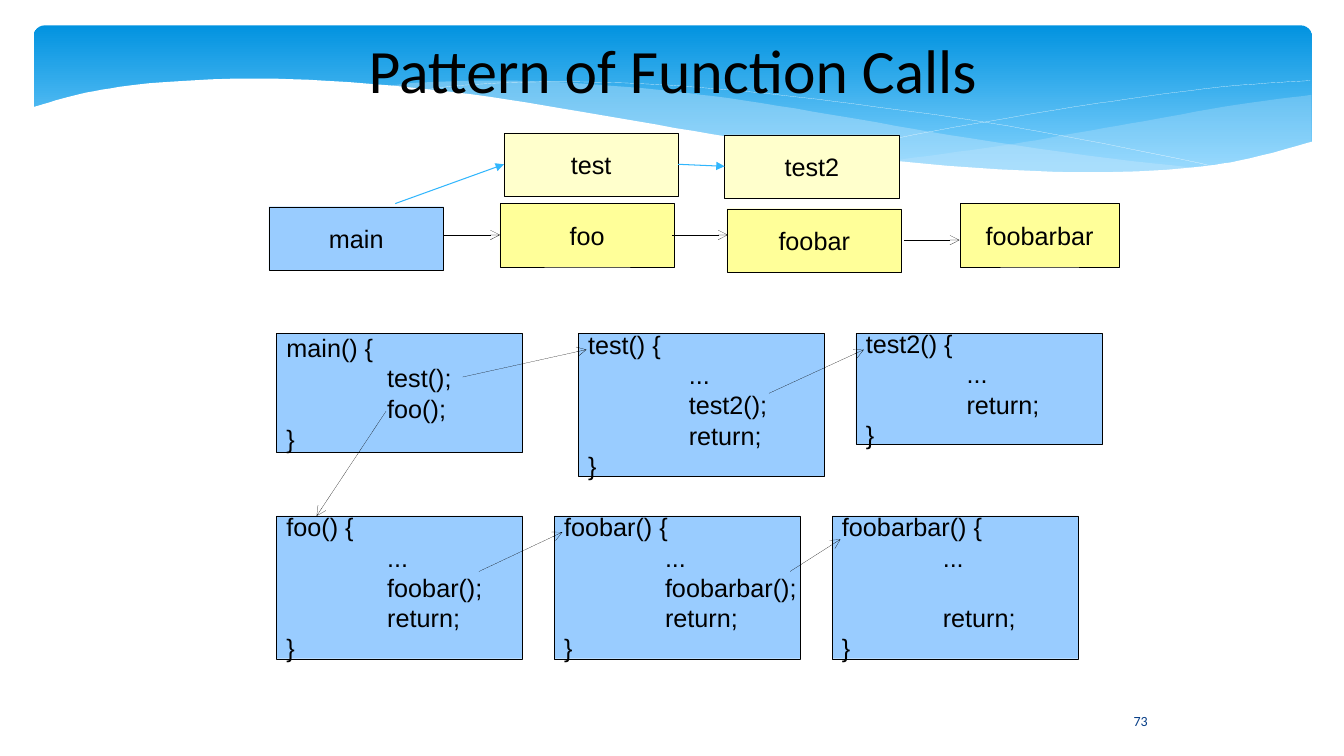
"""Build a slide that shows which function calls which."""
import lxml.etree
import pptx
import pptx.dml.color
import pptx.enum.shapes
import pptx.enum.text
import pptx.oxml.ns
import pptx.util

Cm = pptx.util.Cm
Pt = pptx.util.Pt
ALIGN = pptx.enum.text.PP_ALIGN
SHAPE = pptx.enum.shapes.MSO_SHAPE


class Theme:
    black, white = "000000", "FFFFFF"
    blue, pale, gold = "99CCFF", "FFFFCC", "FFFF99"
    deep, sky, mist = "0293E0", "83D3FE", "C6E7FC"
    link, navy = "31B6FD", "073E87"
    head, code = "Calibri", "Arial"
    title, body, small = 44, 18, 10
    hair = 0.1
    skip = 21.7
    tab = 2.54


def tint(code):
    return pptx.dml.color.RGBColor.from_string(code)


def add(node, tag, **attrs):
    return lxml.etree.SubElement(node, pptx.oxml.ns.qn(tag), **attrs)


def bend(knots, steps=6):
    ends = [knots[0], *knots, knots[-1]]
    curve = [knots[0]]
    for a, b, c, d in zip(ends, ends[1:], ends[2:], ends[3:]):
        for step in range(1, steps + 1):
            t = step / steps
            curve.append(tuple(
                q + t * (r - p) / 2 + t * t * (2 * p - 5 * q + 4 * r - s) / 2
                + t ** 3 * (3 * q - p - 3 * r + s) / 2
                for p, q, r, s in zip(a, b, c, d)))
    return curve


class Sketch:
    def __init__(self, deck, theme):
        self.theme = theme
        self.slide = deck.slides.add_slide(deck.slide_layouts[5])
        self.shapes = self.slide.shapes

    def font(self, para, name, size, color):
        para.font.name, para.font.size = name, Pt(size)
        para.font.color.rgb = tint(color)

    def frame(self, shape, pads):
        frame = shape.text_frame
        frame.word_wrap = True
        frame.auto_size = pptx.enum.text.MSO_AUTO_SIZE.NONE
        frame.vertical_anchor = pptx.enum.text.MSO_ANCHOR.MIDDLE
        sides = map(Cm, pads)
        frame.margin_left, frame.margin_top, frame.margin_right, frame.margin_bottom = sides
        return frame

    def title(self, text, *place):
        shape = self.shapes.title
        shape.left, shape.top, shape.width, shape.height = map(Cm, place)
        para = self.frame(shape, (0, 0, 0, 0)).paragraphs[0]
        para.text, para.alignment = text, ALIGN.CENTER
        self.font(para, self.theme.head, self.theme.title, self.theme.black)
        self.shapes._spTree.append(shape._element)

    def label(self, text, *place):
        shape = self.shapes.add_textbox(*map(Cm, place))
        para = self.frame(shape, (0.25, 0.13, 0.25, 0.13)).paragraphs[0]
        para.text, para.alignment = text, ALIGN.CENTER
        self.font(para, self.theme.head, self.theme.small, self.theme.navy)

    def band(self, *place):
        shape = self.shapes.add_shape(SHAPE.ROUNDED_RECTANGLE, *map(Cm, place))
        shape.adjustments[0] = 0.07
        shape.shadow.inherit = False
        shape.line.fill.background()
        shape.fill.gradient()
        shape.fill.gradient_angle = 270
        shades = ((0, self.theme.deep), (0.9, self.theme.sky))
        for stop, (place, color) in zip(shape.fill.gradient_stops, shades):
            stop.position, stop.color.rgb = place, tint(color)

    def trace(self, points, close):
        start, *rest = [(100 * x, 100 * y) for x, y in points]
        pen = self.shapes.build_freeform(*start, scale=Cm(0.01))
        pen.add_line_segments(rest, close=close)
        shape = pen.convert_to_shape()
        shape.shadow.inherit = False
        return shape

    def wave(self, points, color, solid=100):
        shape = self.trace(points, True)
        shape.line.fill.background()
        shape.fill.solid()
        shape.fill.fore_color.rgb = tint(color)
        if solid < 100:
            node = shape._element.spPr.find(".//" + pptx.oxml.ns.qn("a:srgbClr"))
            add(node, "a:alpha", val=str(solid * 1000))

    def thread(self, knots):
        shape = self.trace(bend(knots), False)
        shape.fill.background()
        shape.line.color.rgb = tint(self.theme.white)
        shape.line.width = Pt(self.theme.hair)

    def box(self, lines, color, *place, align=ALIGN.CENTER, right=0.25):
        shape = self.shapes.add_shape(SHAPE.RECTANGLE, *map(Cm, place))
        shape.shadow.inherit = False
        shape.fill.solid()
        shape.fill.fore_color.rgb = tint(color)
        shape.line.color.rgb = tint(self.theme.black)
        shape.line.width = Pt(self.theme.hair)
        frame = self.frame(shape, (0.25, 0.13, right, 0.13))
        gap = 0
        for i, line in enumerate(lines):
            if not line:
                gap = self.theme.skip
                continue
            para = frame.add_paragraph() if i else frame.paragraphs[0]
            if line.startswith("\t"):
                tabs = add(para._p.get_or_add_pPr(), "a:tabLst")
                add(tabs, "a:tab", pos=str(Cm(self.theme.tab)), algn="l")
            para.text, para.alignment = line, align
            para.space_before = Pt(gap)
            self.font(para, self.theme.code, self.theme.body, self.theme.black)
            gap = 0

    def code(self, name, body, *place):
        lines = [name + "() {", *("\t" + line if line else "" for line in body), "}"]
        self.box(lines, self.theme.blue, *place, align=ALIGN.LEFT, right=0)

    def arrow(self, ends, color, width=Theme.hair, head="arrow"):
        kind = pptx.enum.shapes.MSO_CONNECTOR.STRAIGHT
        shape = self.shapes.add_connector(kind, *map(Cm, ends))
        shape.line.color.rgb = tint(color)
        shape.line.width = Pt(width)
        props = shape._element.spPr
        add(props.find(pptx.oxml.ns.qn("a:ln")), "a:tailEnd", type=head)
        add(props, "a:effectLst")


def main():
    deck = pptx.Presentation()
    deck.slide_width, deck.slide_height = Cm(33.87), Cm(19.05)
    theme = Theme()
    art = Sketch(deck, theme)

    art.band(0.85, 0.64, 32.21, 3.96)
    art.wave(
        bend([(33.05, 2.39), (31.17, 2.64), (29.13, 3), (27.25, 3.33), (25.53, 3.63),
              (23.9, 3.86), (22.4, 4.06)])
        + bend([(22.4, 4.06), (24.33, 4.24), (26.44, 4.37), (28.27, 4.37), (30.12, 4.22),
                (31.67, 3.96), (33.05, 3.61)]), theme.mist, 29)
    art.wave(
        bend([(30.23, 4.24), (27.33, 3.91), (23.9, 3.4), (21.31, 2.95), (18.8, 2.54),
              (16.56, 2.26), (14.22, 2.08), (12.24, 2.03), (10.62, 2.08), (9.7, 2.18)])
        + bend([(9.7, 2.18), (11.58, 2.39), (13.69, 2.69), (15.21, 2.95), (17.93, 3.43),
                (20.37, 3.81), (23.04, 4.14), (25.35, 4.32), (27.33, 4.39), (28.73, 4.37),
                (30.23, 4.24)]), theme.mist, 40)
    art.thread([(10.46, 2.29), (11.94, 2.13), (14.1, 2.06), (16.56, 2.13), (18.85, 2.31),
                (21.54, 2.62), (24.64, 3.05), (26.92, 3.45), (29.41, 3.94), (30.73, 4.22)])
    art.thread([(20.78, 3.84), (23.55, 3.3), (26.29, 2.82), (28.32, 2.51), (30.33, 2.24),
                (31.75, 2.11), (33.02, 2.03)])
    art.wave(
        bend([(33.1, 3.56), (31.5, 3.99), (30.05, 4.22), (27.86, 4.34), (25.2, 4.27),
              (22.63, 4.06), (20.42, 3.78), (17.93, 3.38), (15.14, 2.9), (12.34, 2.44),
              (9.91, 2.16), (7.77, 2.01), (5.97, 1.98), (4.01, 2.08), (2.57, 2.26),
              (1.55, 2.49), (0.79, 2.72)])
        + [(0.79, 5.69), (33.1, 5.69)], theme.white)

    art.title("Pattern of Function Calls", 4.88, 0.43, 24.16, 2.59)
    art.label("73", 27.97, 17.65, 1.55, 1.02)

    for name, color, left, top, width in (
            ("main", theme.blue, 6.78, 5.21, 4.4),
            ("test", theme.pale, 12.7, 3.35, 4.4),
            ("test2", theme.pale, 18.26, 3.4, 4.4),
            ("foo", theme.gold, 12.6, 5.13, 4.4),
            ("foobar", theme.gold, 18.32, 5.26, 4.4),
            ("foobarbar", theme.gold, 24.2, 5.13, 4)):
        art.box([name], color, left, top, width, 1.6)

    for name, body, left, top, height in (
            ("main", ["test();", "foo();"], 6.97, 8.4, 3),
            ("test", ["...", "test2();", "return;"], 14.57, 8.4, 3.6),
            ("test2", ["...", "return;"], 21.57, 8.4, 2.8),
            ("foo", ["...", "foobar();", "return;"], 6.97, 13, 3.6),
            ("foobar", ["...", "foobarbar();", "return;"], 13.97, 13, 3.6),
            ("foobarbar", ["...", "", "return;"], 20.97, 13, 3.6)):
        art.code(name, body, left, top, 6.2, height)

    for left, top in ((11.2, 5.92), (16.94, 5.92), (22.78, 6.05)):
        art.arrow((left, top, left + 1.4, top), theme.black)
    for ends in ((11.66, 9.5, 14.78, 8.81), (19.38, 9.91, 21.77, 8.81),
                 (9.73, 10.36, 7.98, 13), (12.07, 14.4, 14.17, 13.41),
                 (19.91, 14.4, 21.18, 13.59)):
        art.arrow(ends, theme.black)
    for ends in ((9.96, 5.13, 12.7, 4.14), (17.09, 4.14, 18.26, 4.19)):
        art.arrow(ends, theme.link, 0.75, "triangle")

    deck.save("out.pptx")


if __name__ == "__main__":
    main()
